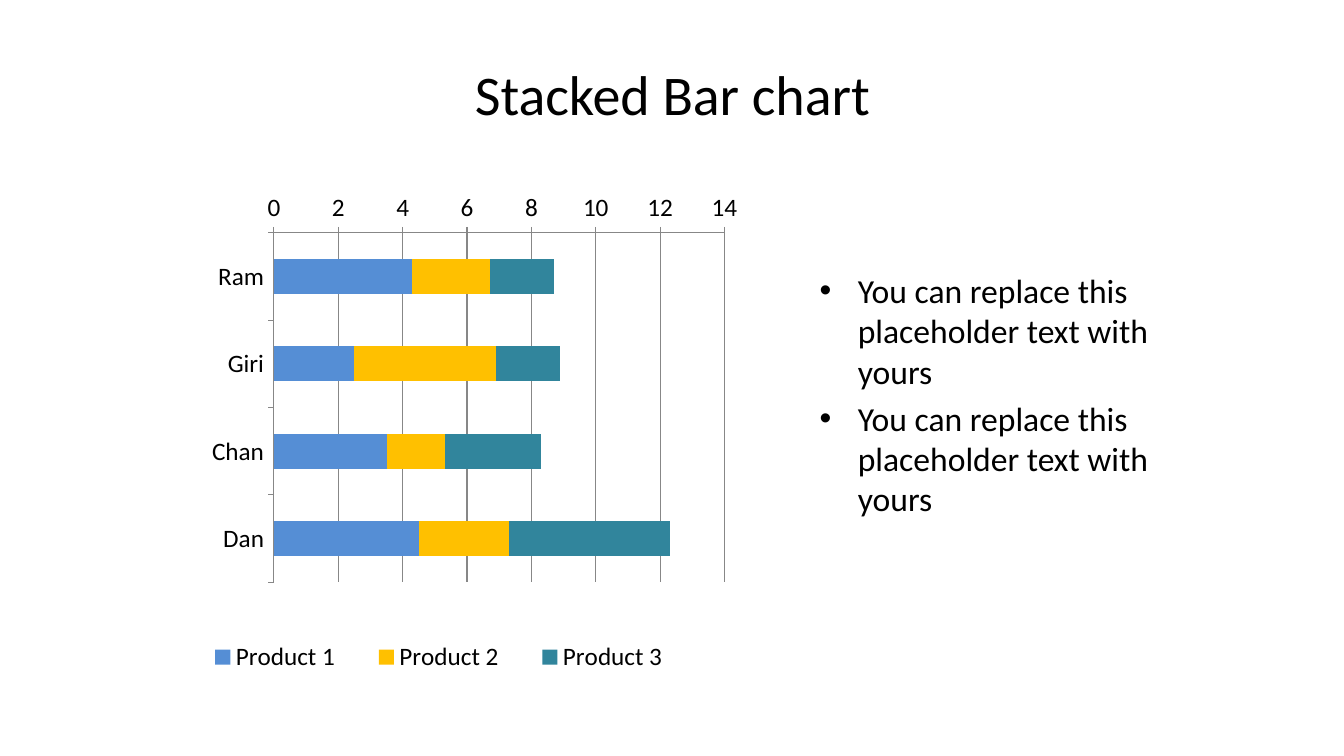
from dataclasses import dataclass

from lxml import etree
from pptx import Presentation
from pptx.chart.chart import Chart
from pptx.chart.data import CategoryChartData
from pptx.dml.color import RGBColor
from pptx.enum.chart import XL_CHART_TYPE as ChartType
from pptx.enum.chart import XL_LEGEND_POSITION as LegendPosition
from pptx.enum.chart import XL_TICK_MARK as TickMark
from pptx.enum.text import MSO_ANCHOR as Anchor
from pptx.enum.text import PP_ALIGN as Align
from pptx.oxml.ns import qn
from pptx.slide import Slide
from pptx.util import Inches, Pt

FONT = "Calibri"
BLACK = "000000"
LINE_GRAY = "878787"


@dataclass(frozen=True)
class Box:
    left: float
    top: float
    width: float
    height: float

    def inches(self) -> tuple[Inches, ...]:
        return tuple(map(Inches, (self.left, self.top, self.width, self.height)))


@dataclass(frozen=True)
class Product:
    name: str
    values: tuple[float, ...]
    color: str


PEOPLE = ("Ram", "Giri", "Chan", "Dan")
PRODUCTS = (
    Product("Product 1", (4.3, 2.5, 3.5, 4.5), "558ED5"),
    Product("Product 2", (2.4, 4.4, 1.8, 2.8), "FFC000"),
    Product("Product 3", (2, 2, 3, 5), "31859C"),
)
TITLE_BOX = Box(0.67, 0.3, 12, 1.25)
BODY_BOX = Box(8.03, 2.63, 4.12, 3.87)
CHART_BOX = Box(1.25, 1.91, 6.67, 4.83)
# Fractions of the chart area
PLOT_LAYOUT = Box(0.22, 0.08, 0.67, 0.72)
LEGEND_LAYOUT = Box(0.08, 0.92, 0.77, 0.08)


def rgb(color: str) -> RGBColor:
    return RGBColor.from_string(color)


def add_text(slide: Slide, box: Box, *lines: str, size: float,
             align: Align = Align.LEFT, anchor: Anchor = Anchor.TOP,
             bullet: str = "", indent: float = 0, space_before: float = 0) -> None:
    frame = slide.shapes.add_textbox(*box.inches()).text_frame
    frame.word_wrap = True
    frame.vertical_anchor = anchor
    for index, line in enumerate(lines):
        paragraph = frame.add_paragraph() if index else frame.paragraphs[0]
        paragraph.text = line
        paragraph.alignment = align
        if index:
            paragraph.space_before = Pt(space_before)
        if bullet:
            properties = paragraph._p.get_or_add_pPr()
            properties.set("marL", str(Inches(indent)))
            properties.set("indent", str(-Inches(indent)))
            etree.SubElement(properties, qn("a:buFont"), typeface="Arial")
            etree.SubElement(properties, qn("a:buChar"), char=bullet)
        font = paragraph.runs[0].font
        font.name, font.size = FONT, Pt(size)
        font.color.rgb = rgb(BLACK)


def manual_layout(box: Box, target: str = "") -> etree._Element:
    """Build a c:layout element from fractions of the chart area."""
    layout = etree.Element(qn("c:layout"))
    manual = etree.SubElement(layout, qn("c:manualLayout"))
    settings = {"layoutTarget": target} if target else {}
    settings |= {"xMode": "edge", "yMode": "edge", "x": box.left, "y": box.top,
                 "w": box.width, "h": box.height}
    for name, value in settings.items():
        etree.SubElement(manual, qn(f"c:{name}"), val=str(value))
    return layout


def replace_layout(parent: etree._Element, layout: etree._Element, index: int) -> None:
    for current in parent.findall(qn("c:layout")):
        parent.remove(current)
    parent.insert(index, layout)


def style_axes(chart: Chart) -> None:
    for axis in (chart.category_axis, chart.value_axis):
        axis.major_tick_mark = TickMark.OUTSIDE
        axis.minor_tick_mark = TickMark.NONE
        axis.format.line.color.rgb = rgb(LINE_GRAY)
        axis.format.line.width = Pt(0.75)
    chart.category_axis.reverse_order = True
    value_axis = chart.value_axis
    value_axis.minimum_scale, value_axis.maximum_scale = 0, 14
    value_axis.major_unit = 2
    value_axis.has_major_gridlines = True
    gridline = value_axis.major_gridlines.format.line
    gridline.color.rgb = rgb(LINE_GRAY)
    gridline.width = Pt(0.75)


def add_product_chart(slide: Slide) -> None:
    data = CategoryChartData()
    data.categories = PEOPLE
    for product in PRODUCTS:
        data.add_series(product.name, product.values)
    chart = slide.shapes.add_chart(
        ChartType.BAR_STACKED, *CHART_BOX.inches(), data).chart
    chart.has_title = False
    chart.font.name, chart.font.size = FONT, Pt(18)
    chart.font.color.rgb = rgb(BLACK)

    plot = chart.plots[0]
    plot.gap_width, plot.overlap = 150, 100
    plot.vary_by_categories = False
    for series, product in zip(plot.series, PRODUCTS):
        series.format.fill.solid()
        series.format.fill.fore_color.rgb = rgb(product.color)
    style_axes(chart)

    chart.has_legend = True
    chart.legend.position = LegendPosition.BOTTOM
    chart.legend.include_in_layout = False
    plot_area = chart._chartSpace.chart.plotArea
    replace_layout(plot_area, manual_layout(PLOT_LAYOUT, "inner"), 0)
    replace_layout(chart.legend._element, manual_layout(LEGEND_LAYOUT), 1)


def main() -> None:
    presentation = Presentation()
    presentation.slide_width = Inches(13.33)
    presentation.slide_height = Inches(7.5)
    slide = presentation.slides.add_slide(presentation.slide_layouts[6])
    add_text(slide, TITLE_BOX, "Stacked Bar chart", size=40,
             align=Align.CENTER, anchor=Anchor.MIDDLE)
    add_text(slide, BODY_BOX, *["You can replace this placeholder text with yours"] * 2,
             size=24, bullet="•", indent=0.38, space_before=4.8)
    add_product_chart(slide)
    presentation.save("out.pptx")


if __name__ == "__main__":
    main()
